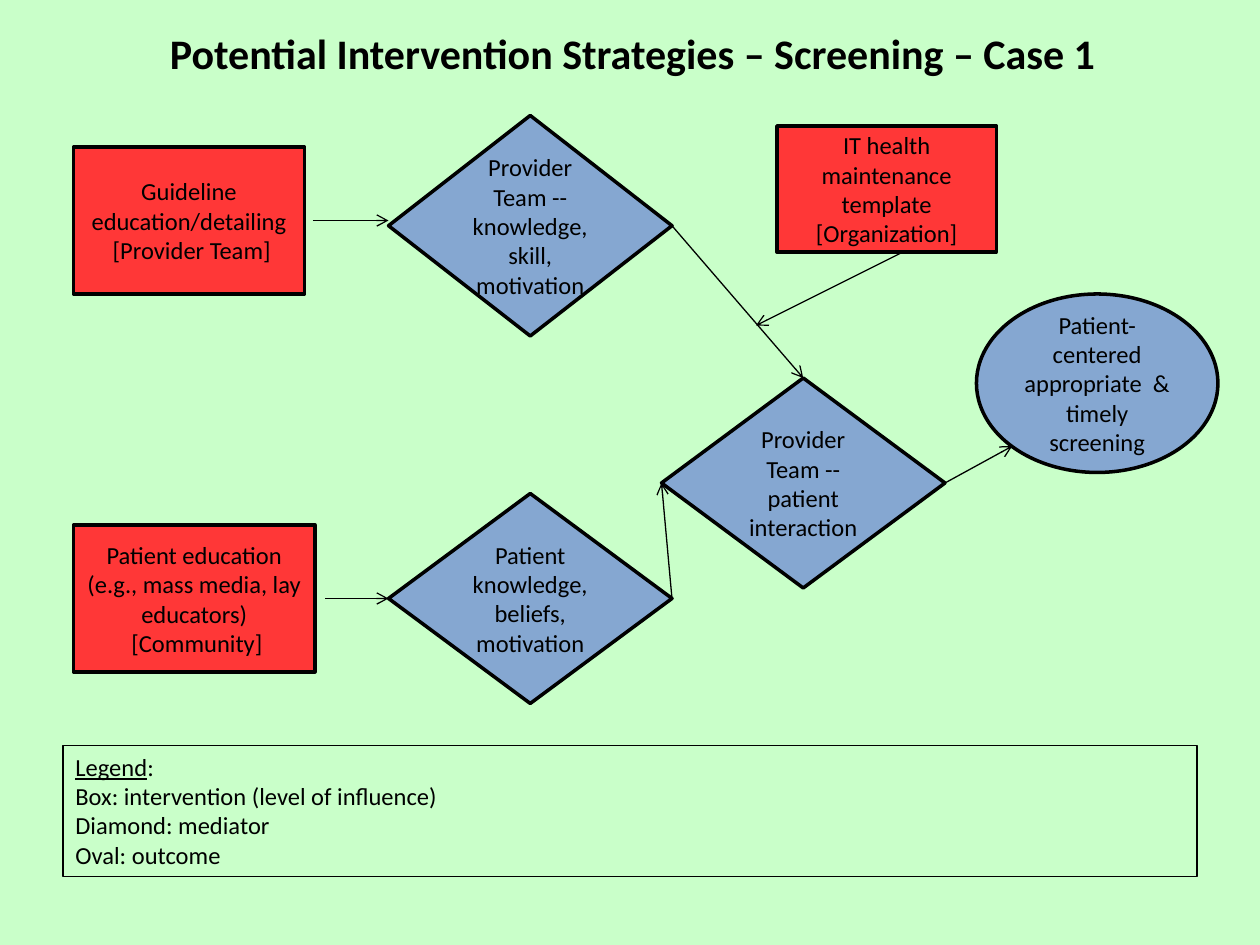
from pptx import Presentation
from pptx import util as u
from pptx.dml.color import RGBColor
from pptx.enum import shapes, text
from lxml import etree

HUES = {"back": "C9FFC9", "box": "FF3737", "node": "85A7D1", "ink": "000000"}
UNIT = u.Inches(1) / 12  # grid: 120 columns by 90 rows
FONT = "Calibri"
NS = "http://schemas.openxmlformats.org/drawingml/2006/main"
RECT = shapes.MSO_SHAPE.RECTANGLE
GEM = shapes.MSO_SHAPE.DIAMOND
OVAL = shapes.MSO_SHAPE.OVAL
TOP, LEFT, RIGHT = 0, 1, 3


def grid(*cells):
    return [u.Emu(round(c * UNIT)) for c in cells]


def hue(name):
    return RGBColor.from_string(HUES[name])


def write(frame, lines, size=14, align=text.PP_ALIGN.LEFT, bold=False):
    frame.word_wrap = True
    for i, line in enumerate(lines):
        para = frame.paragraphs[0] if i == 0 else frame.add_paragraph()
        para.alignment = align
        para.add_run().text = line
        font = para.font
        font.name, font.size, font.bold = FONT, u.Pt(size), bold
        font.color.rgb = hue("ink")


def add_node(slide, kind, spot, lines, fill):
    node = slide.shapes.add_shape(kind, *grid(*spot))
    node.shadow.inherit = False
    node.fill.solid()
    node.fill.fore_color.rgb = hue(fill)
    node.line.color.rgb = hue("ink")
    node.line.width = u.Pt(2)
    node.text_frame.vertical_anchor = text.MSO_ANCHOR.MIDDLE
    write(node.text_frame, lines, align=text.PP_ALIGN.CENTER)
    return node


def add_arrow(slide, start, end):
    """Each end is a grid point, or a shape with its side number."""
    spots = [p if isinstance(p[0], (int, float)) else (0, 0) for p in (start, end)]
    arrow = slide.shapes.add_connector(
        shapes.MSO_CONNECTOR.STRAIGHT, *grid(*spots[0], *spots[1]))
    for p, spot, join in ((start, spots[0], arrow.begin_connect),
                          (end, spots[1], arrow.end_connect)):
        if p is not spot:
            join(*p)
    arrow.line.color.rgb = hue("ink")
    arrow.line.width = u.Pt(0.75)
    props = arrow.line._get_or_add_ln()
    etree.SubElement(props, f"{{{NS}}}tailEnd", type="arrow")
    etree.SubElement(props.getparent(), f"{{{NS}}}effectLst")


def add_title(slide, line):
    box = slide.shapes.add_textbox(*grid(15, 2, 94, 6))
    write(box.text_frame, [line], size=24, bold=True)


def add_legend(slide, head, lines):
    box = slide.shapes.add_shape(RECT, *grid(6, 71, 108, 12.5))
    box.shadow.inherit = False
    box.fill.background()
    box.line.color.rgb = hue("ink")
    box.line.width = u.Pt(0.75)
    frame = box.text_frame
    frame.vertical_anchor = text.MSO_ANCHOR.TOP
    write(frame, [head, *lines])
    first = frame.paragraphs[0]
    first.runs[0].font.underline = True
    first.add_run().text = ":"


def main():
    deck = Presentation()
    deck.slide_width, deck.slide_height = grid(120, 90)
    slide = deck.slides.add_slide(deck.slide_layouts[6])
    slide.background.fill.solid()
    slide.background.fill.fore_color.rgb = hue("back")

    add_title(slide, "Potential Intervention Strategies – Screening – Case 1")

    # Interventions
    for spot, lines in (
        ((7, 14, 22, 14), ["Guideline education/detailing", " [Provider Team]"]),
        ((7, 50, 23, 14), ["Patient education (e.g., mass media, lay educators)",
                           " [Community]"]),
        ((74, 12, 20.9, 12), ["IT health maintenance template [Organization]"]),
    ):
        add_node(slide, RECT, spot, lines, "box")

    # Mediators and outcome
    skill, talk, belief, _ = [
        add_node(slide, kind, spot, lines, "node") for kind, spot, lines in (
            (GEM, (37, 11, 27, 21), ["Provider Team --knowledge, skill, motivation"]),
            (GEM, (63, 36, 27, 20), ["Provider Team --patient interaction"]),
            (GEM, (37, 47, 27, 20), ["Patient knowledge,", "beliefs, motivation"]),
            (OVAL, (93, 28, 23, 17),
             ["Patient-centered appropriate  & timely screening"]),
        )]

    # Flow
    for start, end in (
        ((29.8, 21), (37, 21)),
        ((31, 57), (belief, LEFT)),
        ((belief, RIGHT), (talk, LEFT)),
        ((skill, RIGHT), (talk, TOP)),
        ((talk, RIGHT), (96.4, 42.5)),
        ((86, 24), (72, 31)),
    ):
        add_arrow(slide, start, end)

    add_legend(slide, "Legend", ["Box: intervention (level of influence)",
                                 "Diamond: mediator", "Oval: outcome"])
    deck.save("out.pptx")


if __name__ == "__main__":
    main()
